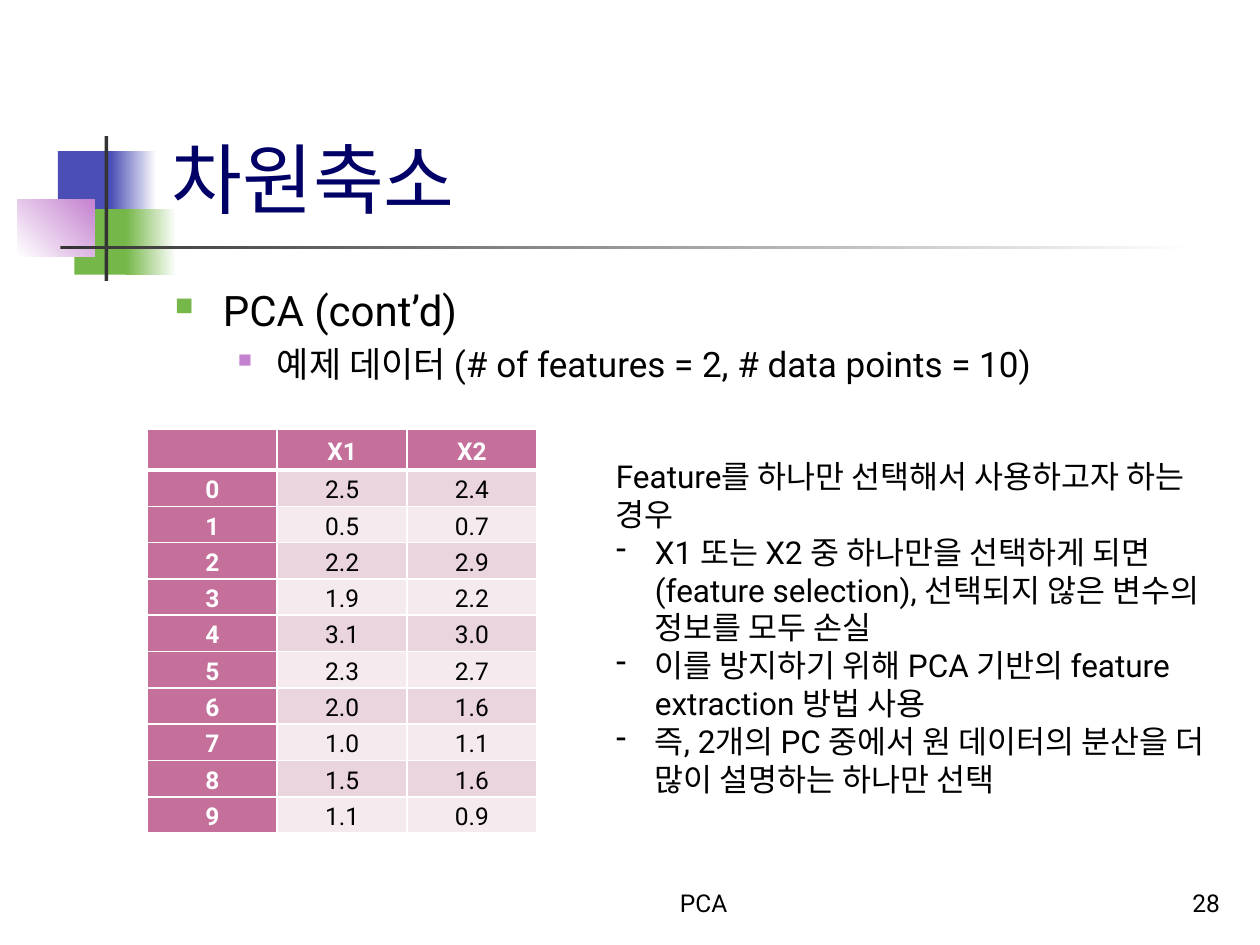
from dataclasses import dataclass

from lxml.etree import SubElement
from pptx import Presentation
from pptx.dml.color import RGBColor
from pptx.enum.shapes import MSO_SHAPE
from pptx.enum.text import MSO_ANCHOR, MSO_AUTO_SIZE, PP_ALIGN
from pptx.oxml.ns import qn
from pptx.util import Inches, Pt


@dataclass(frozen=True)
class Theme:
    font: str = "Roboto"
    navy: str = "000066"
    black: str = "000000"
    white: str = "FFFFFF"
    blue: str = "4B4EB5"
    green: str = "76B749"
    violet: str = "C481CF"
    charcoal: str = "333333"
    header: str = "C4709A"
    bands: tuple = ("EAD5DE", "F5EBEF")
    title_size: float = 44
    body_size: float = 24
    detail_size: float = 20
    note_size: float = 18
    small_size: float = 14


THEME = Theme()

# Left, top, width, height, colours (two make a gradient), gradient angle
DECORATIONS = [
    (0.46, 1.2, 0.48, 0.52, (THEME.blue,), 0),
    (0.88, 1.2, 0.36, 0.52, (THEME.blue, THEME.white), 0),
    (0.59, 1.66, 0.46, 0.52, (THEME.green,), 0),
    (1, 1.66, 0.4, 0.52, (THEME.green, THEME.white), 0),
    (0.14, 1.58, 0.61, 0.46, (THEME.white, THEME.violet), 45),
    (0.83, 1.08, 0.03, 1.15, (THEME.charcoal,), 0),
    (0.48, 1.95, 9, 0.03, (THEME.charcoal, THEME.white), 0),
]

DATA_POINTS = [
    ("2.5", "2.4"), ("0.5", "0.7"), ("2.2", "2.9"), ("1.9", "2.2"), ("3.1", "3.0"),
    ("2.3", "2.7"), ("2.0", "1.6"), ("1.0", "1.1"), ("1.5", "1.6"), ("1.1", "0.9"),
]

NOTE_LEAD = "Feature를 하나만 선택해서 사용하고자 하는 경우"
NOTE_POINTS = [
    "X1 또는 X2 중 하나만을 선택하게 되면 (feature selection), 선택되지 않은 변수의 정보를 모두 손실",
    "이를 방지하기 위해 PCA 기반의 feature extraction 방법 사용",
    "즉, 2개의 PC 중에서 원 데이터의 분산을 더 많이 설명하는 하나만 선택",
]


def apply_format(target, values):
    for name, value in values.items():
        setattr(target, name, value)


def write_span(para, text, size, color=THEME.black, bold=False):
    span = para.add_run()
    span.text = text
    apply_format(span.font, {"name": THEME.font, "size": Pt(size), "bold": bold})
    span.font.color.rgb = RGBColor.from_string(color)


def add_bullet(para, char, margin, hanging, color=None, percent=None):
    properties = para._p.get_or_add_pPr()
    properties.set("marL", str(Inches(margin)))
    properties.set("indent", str(-Inches(hanging)))
    if color:
        SubElement(SubElement(properties, qn("a:buClr")), qn("a:srgbClr"), val=color)
    if percent:
        SubElement(properties, qn("a:buSzPct"), val=str(percent * 1000))
    SubElement(properties, qn("a:buChar"), char=char)


def add_box(slide, left, top, width, height, anchor=MSO_ANCHOR.TOP):
    box = slide.shapes.add_textbox(*map(Inches, (left, top, width, height)))
    apply_format(box.text_frame, {"word_wrap": True, "vertical_anchor": anchor})
    return box.text_frame


def add_decoration(slide, left, top, width, height, colors, angle):
    block = slide.shapes.add_shape(
        MSO_SHAPE.RECTANGLE, *map(Inches, (left, top, width, height)))
    block.shadow.inherit = False
    block.line.fill.background()
    if len(colors) == 1:
        block.fill.solid()
        block.fill.fore_color.rgb = RGBColor.from_string(colors[0])
        return
    block.fill.gradient()
    block.fill.gradient_angle = angle
    for stop, color in zip(block.fill.gradient_stops, colors):
        stop.color.rgb = RGBColor.from_string(color)


def write_title(slide, text):
    title = slide.shapes.title
    apply_format(title, {"left": Inches(1.26), "top": Inches(0.23),
                         "width": Inches(8.52), "height": Inches(1.6)})
    apply_format(title.text_frame, {"vertical_anchor": MSO_ANCHOR.BOTTOM,
                                    "auto_size": MSO_AUTO_SIZE.NONE, "word_wrap": True})
    para = title.text_frame.paragraphs[0]
    para.alignment = PP_ALIGN.LEFT
    write_span(para, text, THEME.title_size, THEME.navy)


def add_outline(slide):
    frame = add_box(slide, 1.29, 2.21, 8.5, 4.5)
    topic, detail = frame.paragraphs[0], frame.add_paragraph()
    detail.level = 1
    topic.space_before = Pt(THEME.body_size * 0.2)
    detail.space_before = Pt(THEME.detail_size * 0.2)
    write_span(topic, "PCA (cont’d)", THEME.body_size)
    write_span(detail, "예제 데이터 (# of features = 2, # data points = 10)",
               THEME.detail_size)
    add_bullet(topic, "■", 0.38, 0.38, THEME.green, 60)
    add_bullet(detail, "■", 0.81, 0.31, THEME.violet, 55)


def add_borders(cell, top, bottom):
    properties = cell._tc.get_or_add_tcPr()
    for side, width in (("L", 1), ("R", 1), ("T", top), ("B", bottom)):
        line = SubElement(properties, qn(f"a:ln{side}"), w=str(Pt(width)))
        fill = SubElement(line, qn("a:solidFill"))
        SubElement(fill, qn("a:srgbClr"), val=THEME.white)


def format_cell(cell, text, row, column):
    is_header = row == 0 or column == 0
    margins = ("margin_left", "margin_right", "margin_top", "margin_bottom")
    apply_format(cell, {"vertical_anchor": MSO_ANCHOR.MIDDLE,
                        **dict.fromkeys(margins, Inches(0.01))})
    # A thick rule parts the heading row from the data
    add_borders(cell, top=3 if row == 1 else 1, bottom=3 if row == 0 else 1)
    cell.fill.solid()
    cell.fill.fore_color.rgb = RGBColor.from_string(
        THEME.header if is_header else THEME.bands[(row - 1) % 2])
    para = cell.text_frame.paragraphs[0]
    apply_format(para, {"alignment": PP_ALIGN.CENTER, "line_spacing": 1.15})
    write_span(para, text, THEME.small_size,
               THEME.white if is_header else THEME.black, is_header)


def add_data_table(slide):
    rows = [("", "X1", "X2")]
    rows += [(str(index), *point) for index, point in enumerate(DATA_POINTS)]
    table = slide.shapes.add_table(
        len(rows), 3, Inches(1.17), Inches(3.41), Inches(3.09),
        Inches(0.27 * len(rows))).table
    for row, texts in enumerate(rows):
        for column, text in enumerate(texts):
            format_cell(table.cell(row, column), text, row, column)


def add_notes_box(slide):
    frame = add_box(slide, 4.79, 3.58, 5, 2.83)
    write_span(frame.paragraphs[0], NOTE_LEAD, THEME.note_size)
    for point in NOTE_POINTS:
        para = frame.add_paragraph()
        write_span(para, point, THEME.note_size)
        add_bullet(para, "-", 0.31, 0.31)


def add_footer(slide, text, left, width, alignment):
    para = add_box(slide, left, 6.83, width, 0.5, MSO_ANCHOR.BOTTOM).paragraphs[0]
    para.alignment = alignment
    write_span(para, text, THEME.small_size)


def main():
    deck = Presentation()
    apply_format(deck, {"slide_width": Inches(10), "slide_height": Inches(7.5)})
    page = deck.slides.add_slide(deck.slide_layouts[5])

    # Corner blocks and rules
    for decoration in DECORATIONS:
        add_decoration(page, *decoration)

    # Heading and outline
    write_title(page, "차원축소")
    add_outline(page)

    # Footer
    add_footer(page, "PCA", 4, 3.17, PP_ALIGN.CENTER)
    add_footer(page, "28", 7.7, 2.08, PP_ALIGN.RIGHT)

    # Sample data and explanation
    add_data_table(page)
    add_notes_box(page)

    deck.save("out.pptx")


if __name__ == "__main__":
    main()
